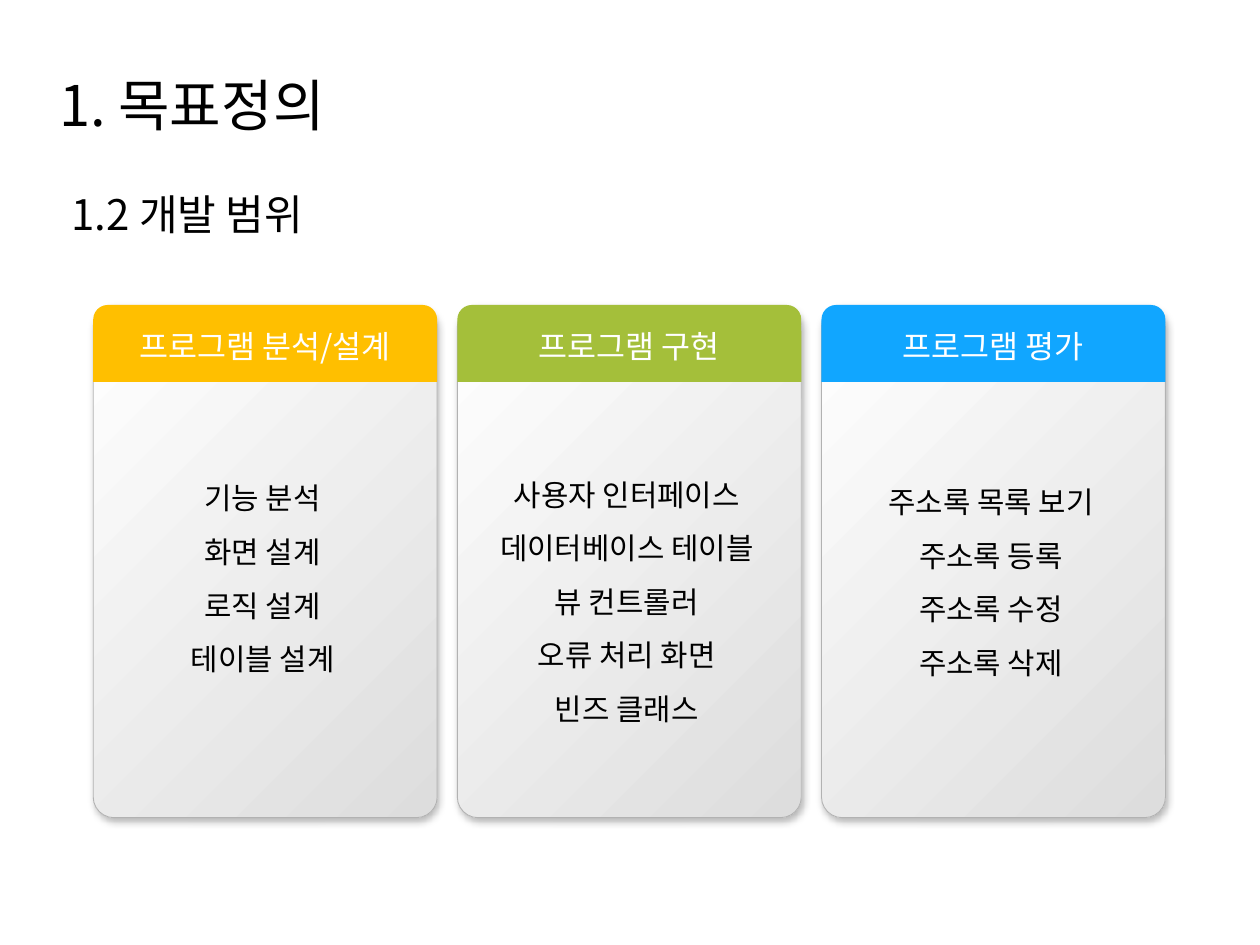
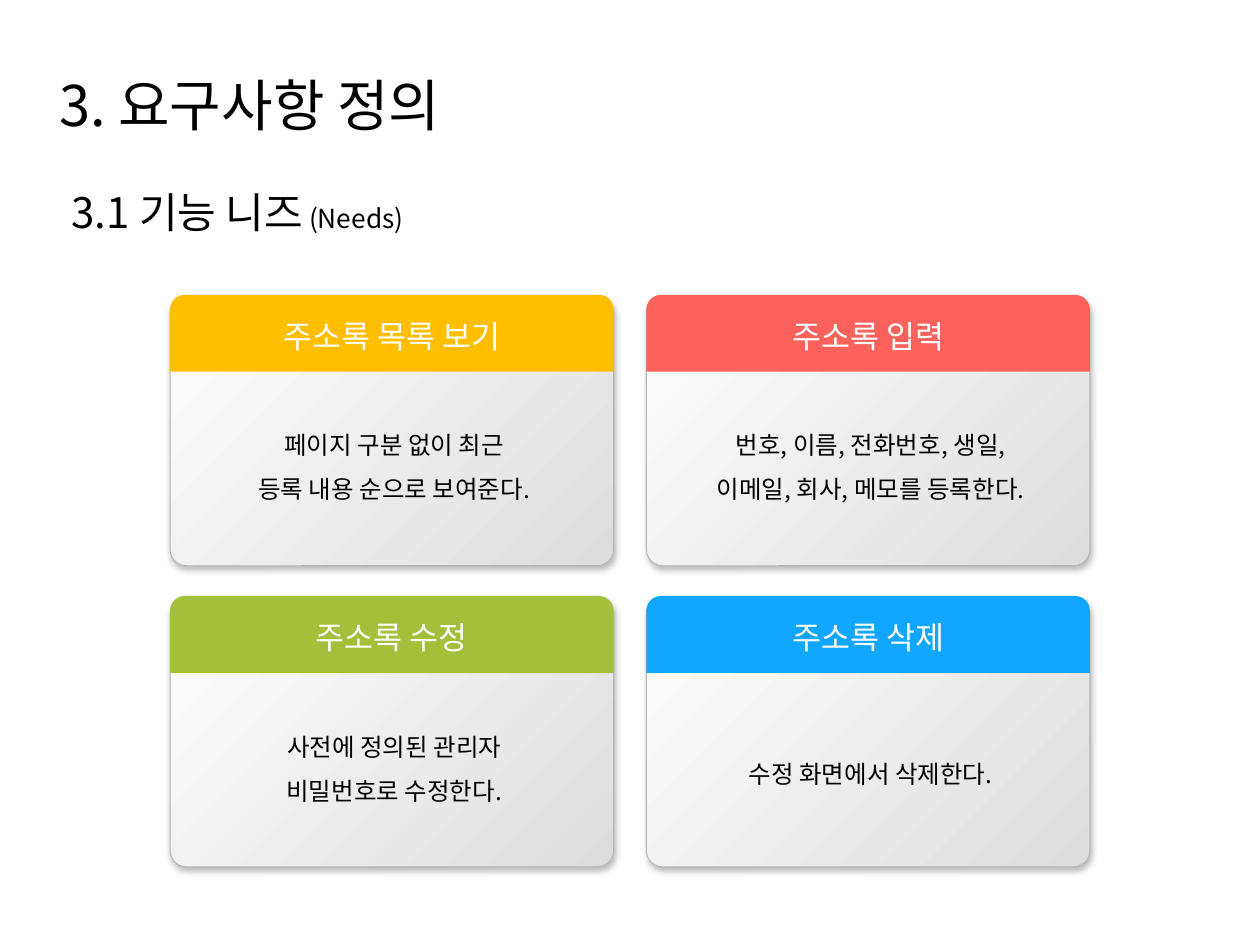
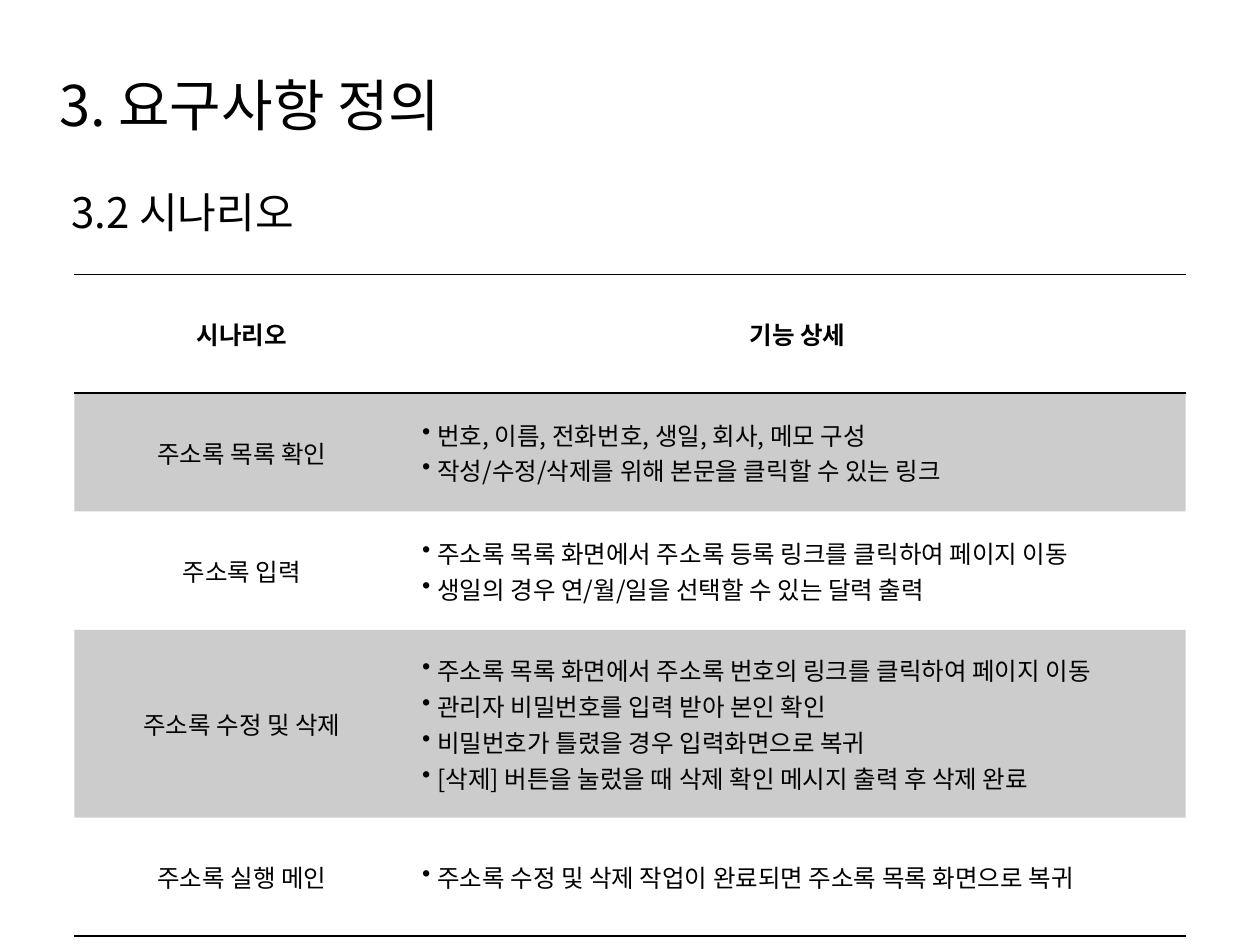
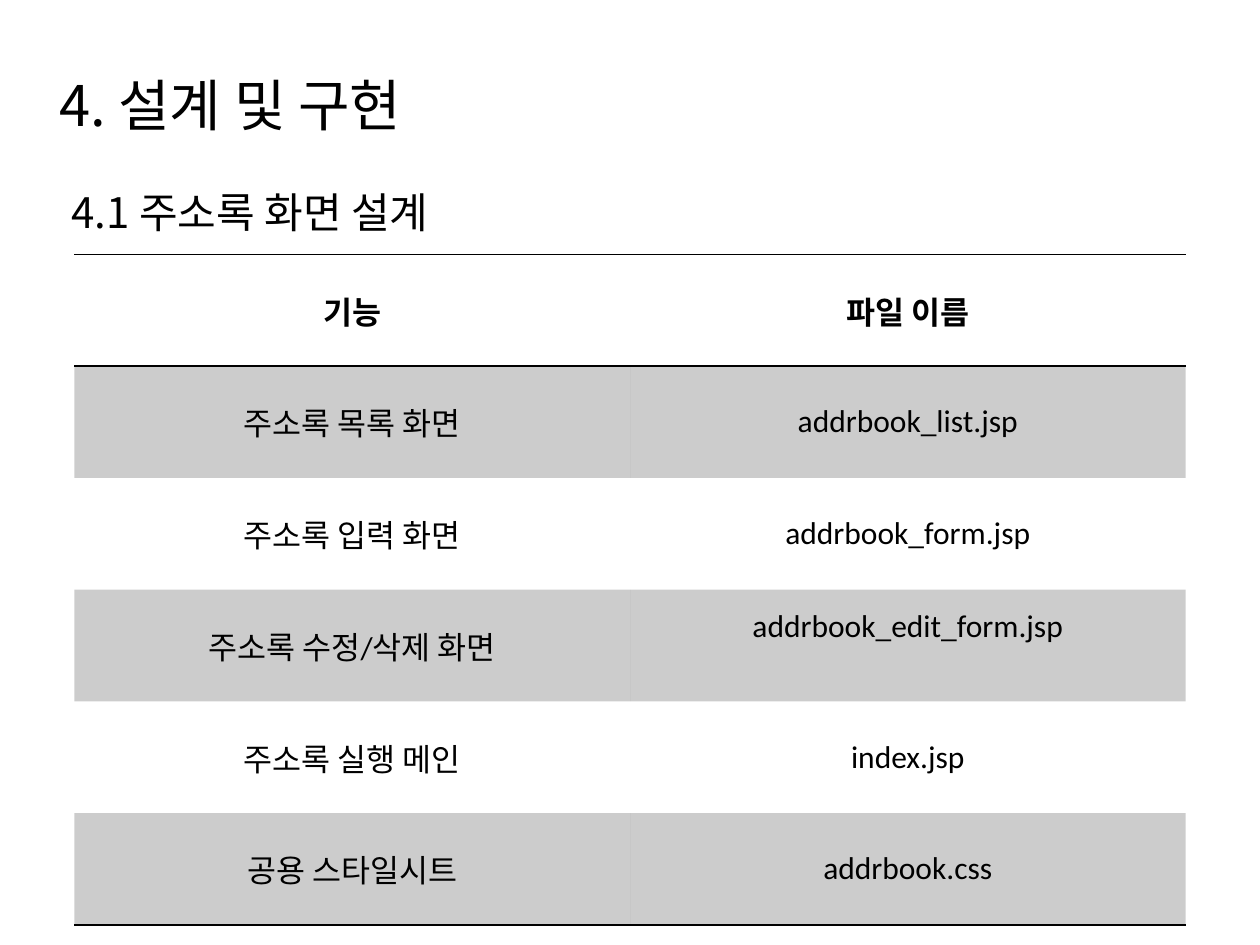
from pptx import Presentation
from pptx.dml.color import RGBColor as RGB
from pptx.enum.shapes import MSO_SHAPE as SHAPE
from pptx.enum.text import MSO_ANCHOR as ANCHOR, MSO_AUTO_SIZE as FIT, PP_ALIGN as ALIGN
from pptx.oxml import parse_xml
from pptx.oxml.ns import nsdecls, qn
from pptx.util import Inches, Pt

BLACK = RGB(0x00, 0x00, 0x00)
WHITE = RGB(0xFF, 0xFF, 0xFF)
SILVER = RGB(0xDD, 0xDD, 0xDD)
EDGE = RGB(0xB2, 0xB2, 0xB2)
AMBER = RGB(0xFF, 0xBF, 0x00)
GREEN = RGB(0xA4, 0xBF, 0x3A)
BLUE = RGB(0x11, 0xA6, 0xFF)
CORAL = RGB(0xFB, 0x62, 0x5C)

KOREAN = "Noto Sans CJK KR"
LATIN = "Calibri"
NO_STYLE = "{2D5ABB26-0587-4C30-8999-92F81FD0307C}"
NS = nsdecls("a")
HEAD_H = 0.61
TABLE_X = 0.59

SHADOW = (
    f'<a:effectLst {NS}><a:outerShdw blurRad="{Pt(4)}" dist="{Pt(2)}" dir="4020000" '
    'algn="tl" rotWithShape="0"><a:srgbClr val="000000"><a:alpha val="28000"/>'
    '</a:srgbClr></a:outerShdw></a:effectLst>'
)


def set_all(obj, values):
    for name, value in values.items():
        setattr(obj, name, value)


def add_run(para, text, size, color=BLACK, face=KOREAN, bold=False):
    run = para.add_run()
    run.text = text
    set_all(run.font, {"size": Pt(size), "name": face, "bold": bold})
    run.font.color.rgb = color
    props = run.font._rPr
    props.set("kern", "0")
    if face == KOREAN:
        props.find(qn("a:latin")).addnext(
            parse_xml(f'<a:ea {NS} typeface="{face}"/>'))


def write(frame, lines, size, align=ALIGN.LEFT, space=None, **style):
    for i, line in enumerate(lines):
        para = frame.add_paragraph() if i else frame.paragraphs[0]
        set_all(para, {"alignment": align, "line_spacing": space})
        for j, part in enumerate(line.split("\n")):
            if j:
                para.add_line_break()
            add_run(para, part, size, **style)


def add_text(slide, box, lines, size, **style):
    frame = slide.shapes.add_textbox(*map(Inches, box)).text_frame
    frame.word_wrap = True
    write(frame, lines, size, **style)
    return frame


def add_titles(slide, title, sub, wide, top=1.43, note=None):
    frame = add_text(slide, (0.47, 0.51, 7.73, 0.66), [title], 32)
    set_all(frame, {"margin_left": 0, "margin_right": 0})
    frame = add_text(slide, (0.47, top, wide, 0.5), [sub], 24)
    set_all(frame, {"word_wrap": False, "auto_size": FIT.SHAPE_TO_FIT_TEXT})
    if note:
        add_run(frame.paragraphs[0], note, 15)


def add_card(slide, x, y, wide, high, color, head):
    base = slide.shapes.add_shape(
        SHAPE.ROUNDED_RECTANGLE, *map(Inches, (x, y + 0.01, wide, high)))
    base.adjustments[0] = 0.06
    base.fill.gradient()
    base.fill.gradient_angle = 315
    for stop, tint, pos in zip(base.fill.gradient_stops, (WHITE, SILVER), (0, 1)):
        stop.color.rgb = tint
        stop.position = pos
    base.line.color.rgb = EDGE
    base.line.width = Pt(0.5)
    base._element.spPr.append(parse_xml(SHADOW))

    band = slide.shapes.add_shape(
        SHAPE.ROUND_2_SAME_RECTANGLE, *map(Inches, (x, y, wide, HEAD_H)))
    band.adjustments[0] = 0.19
    band.adjustments[1] = 0
    band.shadow.inherit = False
    band.fill.solid()
    band.fill.fore_color.rgb = color
    band.line.fill.background()
    frame = band.text_frame
    sides = ("left", "top", "right", "bottom")
    set_all(frame, {f"margin_{side}": Inches(0.08) for side in sides})
    set_all(frame, {"word_wrap": False, "vertical_anchor": ANCHOR.MIDDLE})
    write(frame, [head], 18, ALIGN.CENTER, color=WHITE)


def add_rule(cell, sides):
    props = cell._tc.get_or_add_tcPr()
    for i, side in enumerate(sides):
        props.insert(i, parse_xml(
            f'<a:ln{side} {NS} w="{Pt(1)}"><a:solidFill><a:srgbClr val="000000"/>'
            f'</a:solidFill></a:ln{side}>'))


def add_bullets(frame):
    for para in frame.paragraphs:
        props = para._p.get_or_add_pPr()
        props.set("marL", str(Inches(0.12)))
        props.set("indent", str(-Inches(0.12)))
        props.append(parse_xml(f'<a:buChar {NS} char="•"/>'))


def add_grid(slide, top, cols, highs, rows, size, listed=False):
    frame = slide.shapes.add_table(
        len(rows), len(cols),
        *map(Inches, (TABLE_X, top, sum(cols), sum(highs))))
    table = frame.table
    set_all(table, {"first_row": False, "horz_banding": False})
    table._tbl.tblPr.find(qn("a:tableStyleId")).text = NO_STYLE
    for col, wide in zip(table.columns, cols):
        col.width = Inches(wide)
    for r, (high, row) in enumerate(zip(highs, rows)):
        table.rows[r].height = Inches(high)
        for c, text in enumerate(row):
            cell = table.cell(r, c)
            cell.vertical_anchor = ANCHOR.MIDDLE
            detail = listed and r > 0 and c == 1
            write(cell.text_frame, text.split("\n"), size,
                  ALIGN.LEFT if detail else ALIGN.CENTER,
                  face=KOREAN if detail else LATIN, bold=r == 0)
            if detail:
                add_bullets(cell.text_frame)
            if r % 2:
                cell.fill.solid()
                cell.fill.fore_color.rgb = BLACK
                tint = cell._tc.tcPr.find(".//" + qn("a:srgbClr"))
                tint.append(parse_xml(f'<a:alpha {NS} val="20000"/>'))
            else:
                cell.fill.background()
            if r == 0:
                add_rule(cell, "TB")
            elif r == len(rows) - 1:
                add_rule(cell, "B")
    return table


def scope(slide):
    add_titles(slide, "1. 목표정의", "1.2 개발 범위", 2.23, top=1.45)
    cards = [
        (AMBER, "프로그램 분석/설계", 3.62,
         ["기능 분석", "화면 설계", "로직 설계", "테이블 설계"]),
        (GREEN, "프로그램 구현", 3.59,
         ["사용자 인터페이스", "데이터베이스 테이블", "뷰 컨트롤러",
          "오류 처리 화면", "빈즈 클래스"]),
        (BLUE, "프로그램 평가", 3.65,
         ["주소록 목록 보기", "주소록 등록", "주소록 수정", "주소록 삭제"]),
    ]
    for i, (color, head, top, lines) in enumerate(cards):
        x = 0.74 + i * 2.89
        add_card(slide, x, 2.42, 2.73, 4.06, color, head)
        add_text(slide, (x, top, 2.69, 0.43 * len(lines) + 0.1), lines, 17,
                 align=ALIGN.CENTER, space=1.5)


def needs(slide):
    add_titles(slide, "3. 요구사항 정의", "3.1 기능 니즈", 2.96, note=" (Needs)")
    cards = [
        (AMBER, "주소록 목록 보기", "페이지 구분 없이 최근\n등록 내용 순으로 보여준다."),
        (CORAL, "주소록 입력", "번호, 이름, 전화번호, 생일,\n이메일, 회사, 메모를 등록한다."),
        (GREEN, "주소록 수정", "사전에 정의된 관리자\n비밀번호로 수정한다."),
        (BLUE, "주소록 삭제", "수정 화면에서 삭제한다."),
    ]
    for i, (color, head, text) in enumerate(cards):
        row, col = divmod(i, 2)
        x, y = 1.35 + col * 3.78, 2.34 + row * 2.39
        drop, high = (0.91, 0.81) if "\n" in text else (1.13, 0.41)
        add_card(slide, x, y, 3.52, 2.14, color, head)
        add_text(slide, (x + 0.05, y + drop, 3.46, high), [text], 14,
                 align=ALIGN.CENTER, space=1.5)


def story(slide):
    add_titles(slide, "3. 요구사항 정의", "3.2 시나리오", 2.11)
    rows = [
        ("시나리오", "기능 상세"),
        ("주소록 목록 확인",
         "번호, 이름, 전화번호, 생일, 회사, 메모 구성\n"
         "작성/수정/삭제를 위해 본문을 클릭할 수 있는 링크"),
        ("주소록 입력",
         "주소록 목록 화면에서 주소록 등록 링크를 클릭하여 페이지 이동\n"
         "생일의 경우 연/월/일을 선택할 수 있는 달력 출력"),
        ("주소록 수정 및 삭제",
         "주소록 목록 화면에서 주소록 번호의 링크를 클릭하여 페이지 이동\n"
         "관리자 비밀번호를 입력 받아 본인 확인\n"
         "비밀번호가 틀렸을 경우 입력화면으로 복귀\n"
         "[삭제] 버튼을 눌렀을 때 삭제 확인 메시지 출력 후 삭제 완료"),
        ("주소록 실행 메인",
         "주소록 수정 및 삭제 작업이 완료되면 주소록 목록 화면으로 복귀"),
    ]
    add_grid(slide, 2.18, (2.66, 6.16), (0.94, 0.94, 0.94, 1.49, 0.94),
             rows, 14, listed=True)


def files(slide):
    add_titles(slide, "4. 설계 및 구현", "4.1 주소록 화면 설계", 3.36)
    rows = [
        ("기능", "파일 이름"),
        ("주소록 목록 화면", "addrbook_list.jsp"),
        ("주소록 입력 화면", "addrbook_form.jsp"),
        ("주소록 수정/삭제 화면", "addrbook_edit_form.jsp"),
        ("주소록 실행 메인", "index.jsp"),
        ("공용 스타일시트", "addrbook.css"),
    ]
    highs = [5.32 / len(rows)] * len(rows)
    table = add_grid(slide, 2.02, (4.41, 4.41), highs, rows, 18)
    table.cell(3, 1).margin_bottom = Inches(0.35)


def main():
    deck = Presentation()
    set_all(deck, {"slide_width": Inches(10), "slide_height": Inches(7.5)})
    for build in (scope, needs, story, files):
        build(deck.slides.add_slide(deck.slide_layouts[6]))
    deck.save("out.pptx")


if __name__ == "__main__":
    main()
